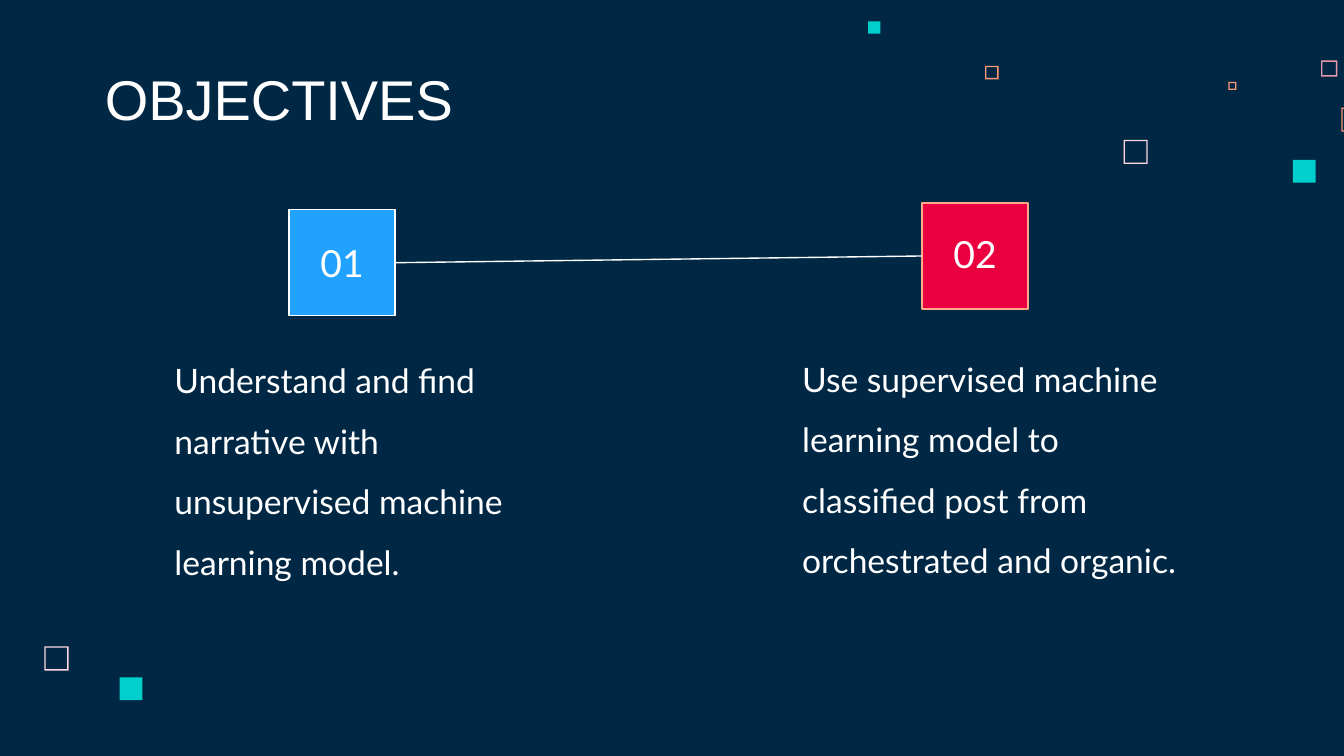
"""Build the Objectives slide with two numbered goals joined by a line."""
from pptx import Presentation
from pptx.dml.color import RGBColor
from pptx.enum.shapes import MSO_CONNECTOR, MSO_SHAPE
from pptx.enum.text import MSO_ANCHOR, MSO_AUTO_SIZE, PP_ALIGN
from pptx.oxml.ns import qn
from pptx.util import Inches, Pt
from lxml import etree


def rgb(value):
    return RGBColor.from_string(value)


def write(sp, text, size, font, anchor, align, spacing=1.0):
    tf = sp.text_frame
    tf.text = text
    tf.word_wrap = True
    tf.auto_size = MSO_AUTO_SIZE.NONE
    tf.vertical_anchor = anchor
    tf.margin_left = tf.margin_right = Inches(0.1)
    tf.margin_top = tf.margin_bottom = Inches(0.1)
    p = tf.paragraphs[0]
    p.alignment = align
    p.line_spacing = spacing
    r = p.runs[0]
    r.font.size = Pt(size)
    r.font.name = font
    r.font.color.rgb = rgb("FFFFFF")


prs = Presentation()
prs.slide_width = Inches(10)
prs.slide_height = Inches(10 * 9 / 16)
s = prs.slides.add_slide(prs.slide_layouts[5])
s.background.fill.solid()
s.background.fill.fore_color.rgb = rgb("002845")

decorations = [
    (MSO_SHAPE.FRAME, 8.36, 1.04, 0.18, "FFD6E1"),
    (MSO_SHAPE.FRAME, 9.83, 0.45, 0.12, "E898AC"),
    (MSO_SHAPE.FRAME, 9.14, 0.61, 0.06, "FF9973"),
    (MSO_SHAPE.FRAME, 9.98, 0.8, 0.18, "FF9973"),
    (MSO_SHAPE.RECTANGLE, 9.62, 1.19, 0.17, "00CFCC"),
    (MSO_SHAPE.FRAME, 7.33, 0.49, 0.1, "FF9973"),
    (MSO_SHAPE.RECTANGLE, 6.46, 0.16, 0.09, "00CFCC"),
    (MSO_SHAPE.FRAME, 0.33, 4.81, 0.18, "FFD6E1"),
    (MSO_SHAPE.RECTANGLE, 0.89, 5.04, 0.17, "00CFCC"),
]
for kind, left, top, size, color in decorations:
    sp = s.shapes.add_shape(kind, Inches(left), Inches(top), Inches(size), Inches(size))
    sp.shadow.inherit = False
    sp.fill.solid()
    sp.fill.fore_color.rgb = rgb(color)
    sp.line.fill.background()
    if kind == MSO_SHAPE.FRAME:
        sp.adjustments[0] = 0.01 / size

title = s.shapes.title
title.left, title.top = Inches(0.68), Inches(0.45)
title.width, title.height = Inches(6.44), Inches(0.63)
write(title, "OBJECTIVES", 30, "Arial", MSO_ANCHOR.BOTTOM, PP_ALIGN.LEFT)

objectives = [
    ("01", 2.15, 1.56, 1.64, "22A2FF", "FFFFFF", 1.2, 2.43, 2.93,
     "Understand and find narrative with unsupervised machine learning model."),
    ("02", 6.86, 1.51, 1.57, "EB003F", "FDAA8C", 5.87, 2.42, 3.12,
     "Use supervised machine learning model to classified post from orchestrated and organic."),
]
badges = []
for number, left, top, number_top, fill, line, text_left, text_top, text_width, text in objectives:
    sp = s.shapes.add_shape(MSO_SHAPE.RECTANGLE, Inches(left), Inches(top),
                            Inches(0.79), Inches(0.79))
    sp.shadow.inherit = False
    sp.fill.solid()
    sp.fill.fore_color.rgb = rgb(fill)
    sp.line.color.rgb = rgb(line)
    sp.line.width = Pt(0.75)
    badges.append(sp)
    label = s.shapes.add_textbox(Inches(left + 0.1), Inches(number_top),
                                 Inches(0.59), Inches(0.63))
    write(label, number, 20, "Lato", MSO_ANCHOR.MIDDLE, PP_ALIGN.CENTER)
    box = s.shapes.add_textbox(Inches(text_left), Inches(text_top),
                               Inches(text_width), Inches(2.42))
    write(box, text, 18, "Lato", MSO_ANCHOR.TOP, PP_ALIGN.LEFT, 1.5)

link = s.shapes.add_connector(MSO_CONNECTOR.STRAIGHT, Inches(2.94), Inches(1.95),
                              Inches(6.86), Inches(1.91))
link.begin_connect(badges[0], 3)
link.end_connect(badges[1], 1)
link.line.color.rgb = rgb("FFFFFF")
link.line.width = Pt(0.75)
etree.SubElement(link._element.spPr, qn("a:effectLst"))

prs.save("out.pptx")
